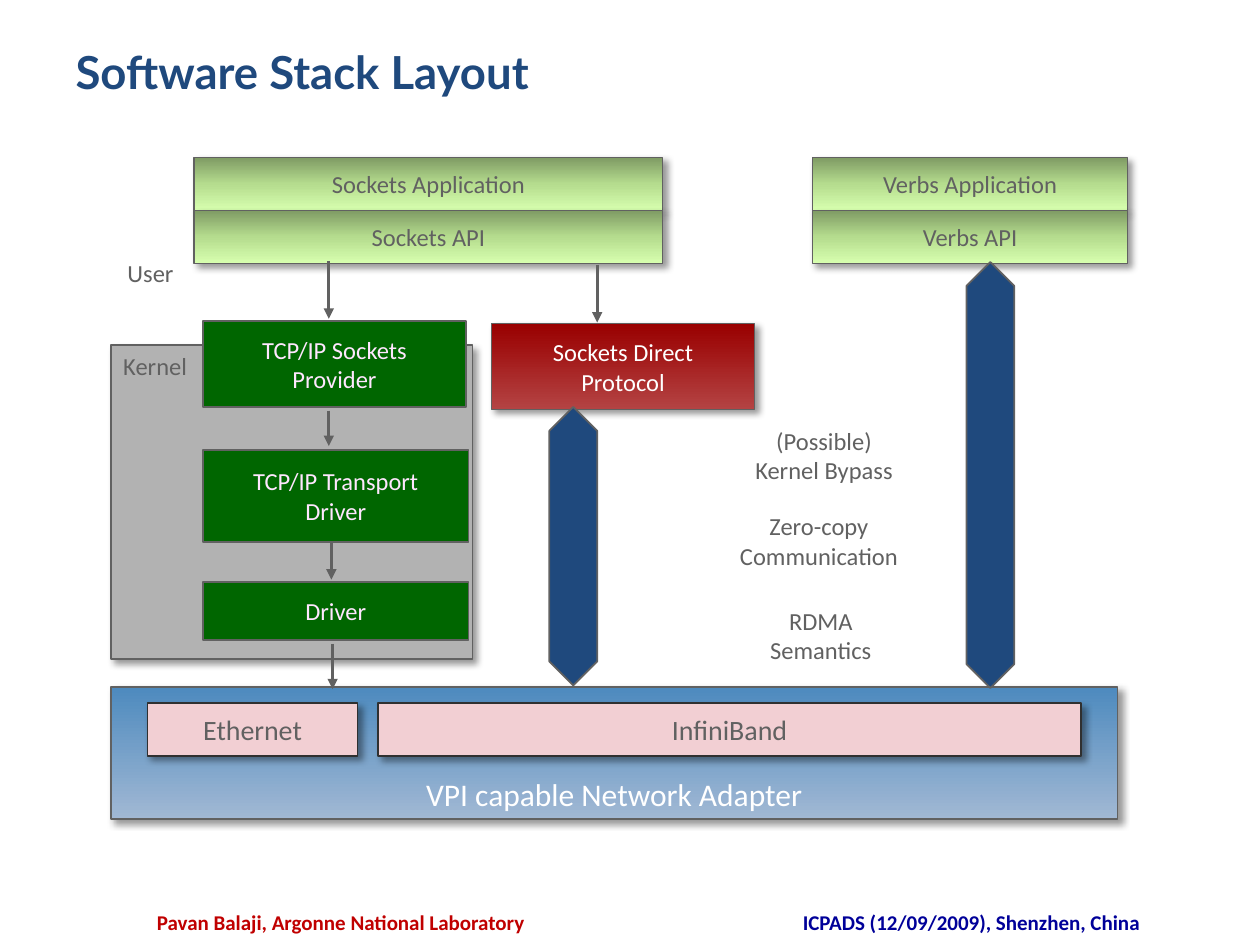
from lxml import etree
from pptx import Presentation
from pptx.dml.color import RGBColor
from pptx.enum.shapes import MSO_CONNECTOR, MSO_SHAPE
from pptx.enum.text import MSO_ANCHOR, MSO_AUTO_SIZE, PP_ALIGN
from pptx.oxml.ns import qn
from pptx.util import Inches, Pt

RECTANGLE = MSO_SHAPE.RECTANGLE
UP_DOWN_ARROW = MSO_SHAPE.UP_DOWN_ARROW
STRAIGHT = MSO_CONNECTOR.STRAIGHT
TOP, MIDDLE, BOTTOM = MSO_ANCHOR.TOP, MSO_ANCHOR.MIDDLE, MSO_ANCHOR.BOTTOM
LEFT, CENTER = PP_ALIGN.LEFT, PP_ALIGN.CENTER

COLORS = {
    "navy": "1F497D",
    "gray": "616161",
    "white": "FFFFFF",
    "kernel": "B2B2B2",
    "green": "006600",
    "green text": "FFE7FF",
    "pink": "F2CFD3",
    "port outline": "303030",
    "author": "C00000",
    "venue": "000099",
    "shadow": "000000",
}
GRADIENTS = {
    "application": [(0, "7F9B64"), (50, "B5DC8E"), (100, "D7FFAF")],
    "adapter": [(0, "4D8ABE"), (100, "A1B8D4")],
    "direct": [(0, "990000"), (100, "B44343")],
}


def rgb(name):
    return RGBColor.from_string(COLORS[name])


def add_color(parent, value):
    return etree.SubElement(parent, qn("a:srgbClr"), val=value)


def fill_shape(shape, fill):
    """Fill with a plain colour or a top-to-bottom gradient, by name."""
    if fill in COLORS:
        shape.fill.solid()
        shape.fill.fore_color.rgb = rgb(fill)
        return
    shape.fill.gradient()
    shape.fill.gradient_angle = 270
    stops = shape._element.spPr.find(".//" + qn("a:gsLst"))
    for stop in list(stops):
        stops.remove(stop)
    for percent, value in GRADIENTS[fill]:
        add_color(etree.SubElement(stops, qn("a:gs"), pos=str(percent * 1000)), value)


def add_shadow(shape):
    effects = shape._element.spPr.find(qn("a:effectLst"))
    shadow = etree.SubElement(
        effects, qn("a:outerShdw"), blurRad=str(Pt(4)), dist=str(Pt(3)),
        dir=str(45 * 60000), algn="tl", rotWithShape="0")
    color = add_color(shadow, COLORS["shadow"])
    etree.SubElement(color, qn("a:alpha"), val="40000")


def set_text(shape, text, size, color, align=CENTER, anchor=MIDDLE,
             bold=False, font_name="Calibri"):
    frame = shape.text_frame
    frame.text = text
    frame.word_wrap = True
    frame.vertical_anchor = anchor
    for paragraph in frame.paragraphs:
        paragraph.alignment = align
        for run in paragraph.runs:
            run.font.name = font_name
            run.font.size = Pt(size)
            run.font.bold = bold
            run.font.color.rgb = rgb(color)


def add_shape(slide, kind, box, fill, outline="gray", width=1):
    shape = slide.shapes.add_shape(kind, *map(Inches, box))
    fill_shape(shape, fill)
    shape.line.color.rgb = rgb(outline)
    shape.line.width = Pt(width)
    shape.shadow.inherit = False
    return shape


def add_block(slide, text, box, fill, color="gray", size=14, align=CENTER,
              anchor=MIDDLE, outline="gray", width=0.75, shadow=True):
    shape = add_shape(slide, RECTANGLE, box, fill, outline, width)
    set_text(shape, text, size, color, align, anchor)
    if shadow:
        add_shadow(shape)


def add_label(slide, text, box, size=14, color="gray", bold=False):
    label = slide.shapes.add_textbox(*map(Inches, box))
    set_text(label, text, size, color, anchor=TOP, bold=bold)


def add_down_arrow(slide, x, top, bottom):
    arrow = slide.shapes.add_connector(
        STRAIGHT, Inches(x), Inches(top), Inches(x), Inches(bottom))
    arrow.line.color.rgb = rgb("gray")
    arrow.line.width = Pt(1.75)
    etree.SubElement(arrow.line._get_or_add_ln(), qn("a:tailEnd"), type="triangle")
    etree.SubElement(arrow._element.spPr, qn("a:effectLst"))


def add_bypass_arrow(slide, left, top, height):
    arrow = add_shape(slide, UP_DOWN_ARROW, (left, top, 0.38, height), "navy")
    arrow.adjustments[0] = 0.5
    arrow.adjustments[1] = 1.162


def add_title(slide, text):
    title = slide.shapes.title
    title.left, title.top, title.width, title.height = map(Inches, (0.5, 0.3, 9, 0.87))
    set_text(title, text, 26, "navy", LEFT, TOP, bold=True, font_name="Lato")
    title.text_frame.auto_size = MSO_AUTO_SIZE.NONE


def add_application(slide, name, left, width):
    for row, layer in enumerate(("Application", "API")):
        add_block(slide, f"{name} {layer}", (left, 1.25 + row * 0.42, width, 0.42),
                  "application")


def main():
    presentation = Presentation()
    presentation.slide_width, presentation.slide_height = Inches(10), Inches(7.5)
    slide = presentation.slides.add_slide(presentation.slide_layouts[5])

    add_title(slide, "Software Stack Layout")
    add_label(slide, "Pavan Balaji, Argonne National Laboratory",
              (1.08, 7.17, 3.25, 0.25), 12, "author", True)
    add_label(slide, "ICPADS (12/09/2009), Shenzhen, China",
              (5.75, 7.17, 3.92, 0.25), 12, "venue", True)

    add_application(slide, "Sockets", 1.54, 3.72)
    add_application(slide, "Verbs", 6.45, 2.5)

    add_block(slide, "Kernel", (0.88, 2.74, 2.87, 2.49), "kernel",
              align=LEFT, anchor=TOP, width=1)
    for text, top, width, height in (
            ("TCP/IP Sockets\vProvider", 2.55, 2.09, 0.68),
            ("TCP/IP Transport\vDriver", 3.57, 2.11, 0.73),
            ("Driver", 4.62, 2.11, 0.46)):
        add_block(slide, text, (1.61, top, width, height), "green",
                  "green text", width=1, shadow=False)

    add_block(slide, "VPI capable Network Adapter", (0.88, 5.45, 7.99, 1.05),
              "adapter", "white", 18, anchor=BOTTOM, width=1)
    for text, left, width in (("Ethernet", 1.17, 1.67), ("InfiniBand", 3, 5.58)):
        add_block(slide, text, (left, 5.58, width, 0.42), "pink", size=16,
                  outline="port outline")

    for x, top, bottom in ((2.61, 2.07, 2.53), (2.61, 3.26, 3.54), (2.63, 4.31, 4.6),
                           (2.64, 5.11, 5.47), (4.74, 2.1, 2.56)):
        add_down_arrow(slide, x, top, bottom)

    add_block(slide, "Sockets Direct\vProtocol", (3.9, 2.57, 2.09, 0.68),
              "direct", "white")
    add_bypass_arrow(slide, 4.36, 3.23, 2.21)
    add_bypass_arrow(slide, 7.67, 2.08, 3.38)

    for text, box in (
            ("User", (0.75, 2, 0.89, 0.33)),
            ("(Possible) Kernel Bypass", (5.8, 3.33, 1.48, 0.57)),
            ("Zero-copy Communication", (5.75, 4.01, 1.5, 0.57)),
            ("RDMA Semantics", (5.83, 4.76, 1.37, 0.57))):
        add_label(slide, text, box)

    presentation.save("out.pptx")


if __name__ == "__main__":
    main()
